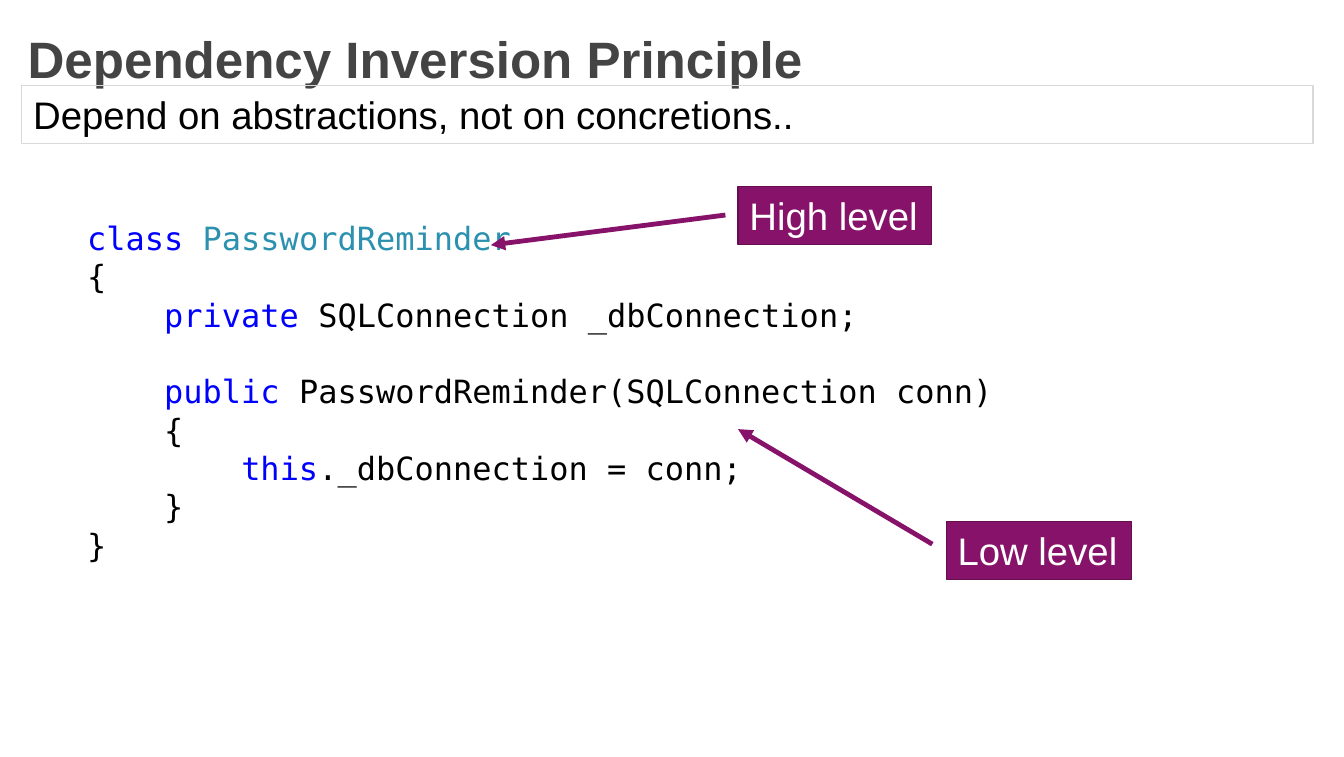
"""Build the Dependency Inversion Principle slide."""
from lxml import etree
from pptx import Presentation
from pptx.dml.color import RGBColor
from pptx.enum import shapes, text
from pptx.oxml import ns
from pptx.util import Pt

BLACK = RGBColor(0x00, 0x00, 0x00)
WHITE = RGBColor(0xFF, 0xFF, 0xFF)
HEADING = RGBColor(0x44, 0x44, 0x44)
KEYWORD = RGBColor(0x00, 0x00, 0xFF)
TYPE_NAME = RGBColor(0x2B, 0x91, 0xAF)
PURPLE = RGBColor(0x86, 0x12, 0x6A)
DARK_PURPLE = RGBColor(0x64, 0x0E, 0x4F)
GREY = RGBColor(0xD9, 0xD9, 0xD9)


def add_run(paragraph, words, size, color, font="Arial", bold=False):
    run = paragraph.add_run()
    run.text = words
    run.font.size = Pt(size)
    run.font.name = font
    run.font.bold = bold
    run.font.color.rgb = color


deck = Presentation()
deck.slide_width, deck.slide_height = Pt(841.7), Pt(473.8)
slide = deck.slides.add_slide(deck.slide_layouts[6])

code_lines = [
    [("class ", KEYWORD), ("PasswordReminder", TYPE_NAME)],
    [("{", BLACK)],
    [("    ", BLACK), ("private", KEYWORD), (" SQLConnection _dbConnection;", BLACK)],
    [("    ", BLACK), ("public", KEYWORD), (" PasswordReminder(SQLConnection conn)", BLACK)],
    [("    {", BLACK)],
    [("        ", BLACK), ("this", KEYWORD), ("._dbConnection = conn;", BLACK)],
    [("    }", BLACK)],
    [("}", BLACK)],
]
constructor_line = 3
line_height = Pt(24)
code = slide.shapes.add_textbox(Pt(47.5), Pt(133.2), Pt(724.3), Pt(225.4)).text_frame
code.word_wrap = True
for number, pieces in enumerate(code_lines):
    line = code.add_paragraph() if number else code.paragraphs[0]
    line.line_spacing = line_height
    if number == constructor_line:
        line.space_before = line_height
    for words, color in pieces:
        add_run(line, words, 20, color, "DejaVu Sans Mono")

title = slide.shapes.add_textbox(Pt(17.3), Pt(14.4), Pt(808.6), Pt(49.7)).text_frame
title.word_wrap = True
title.margin_left = title.margin_right = title.margin_bottom = 0
title.margin_top = Pt(2.7)
add_run(title.paragraphs[0], "Dependency Inversion Principle", 32, HEADING, bold=True)

boxes = [
    ("Depend on abstractions, not on concretions..", 13.7, 53.3, 808.6, None, GREY, BLACK, True),
    ("Low level", 592.6, 326.2, 115.9, PURPLE, DARK_PURPLE, WHITE, False),
    ("High level", 462.2, 116.6, 121, PURPLE, DARK_PURPLE, WHITE, False),
]
for words, left, top, width, fill, border, color, wrap in boxes:
    box = slide.shapes.add_shape(
        shapes.MSO_SHAPE.RECTANGLE, Pt(left), Pt(top), Pt(width), Pt(36.3))
    box.shadow.inherit = False
    if fill is None:
        box.fill.background()
    else:
        box.fill.solid()
        box.fill.fore_color.rgb = fill
    box.line.color.rgb = border
    box.line.width = Pt(0.75)
    box.text_frame.word_wrap = wrap
    box.text_frame.vertical_anchor = text.MSO_ANCHOR.MIDDLE
    statement = box.text_frame.paragraphs[0]
    statement.alignment = text.PP_ALIGN.LEFT
    add_run(statement, words, 24, color)

arrows = [(454.3, 134.6, 307.4, 153.4), (583.9, 340.6, 462.2, 268.6)]
for ends in arrows:
    arrow = slide.shapes.add_connector(
        shapes.MSO_CONNECTOR.STRAIGHT, *[Pt(end) for end in ends])
    arrow.line.color.rgb = PURPLE
    arrow.line.width = Pt(3)
    outline = arrow.element.spPr.find(ns.qn("a:ln"))
    etree.SubElement(outline, ns.qn("a:tailEnd"), type="triangle")
    etree.SubElement(arrow.element.spPr, ns.qn("a:effectLst"))

deck.save("out.pptx")
